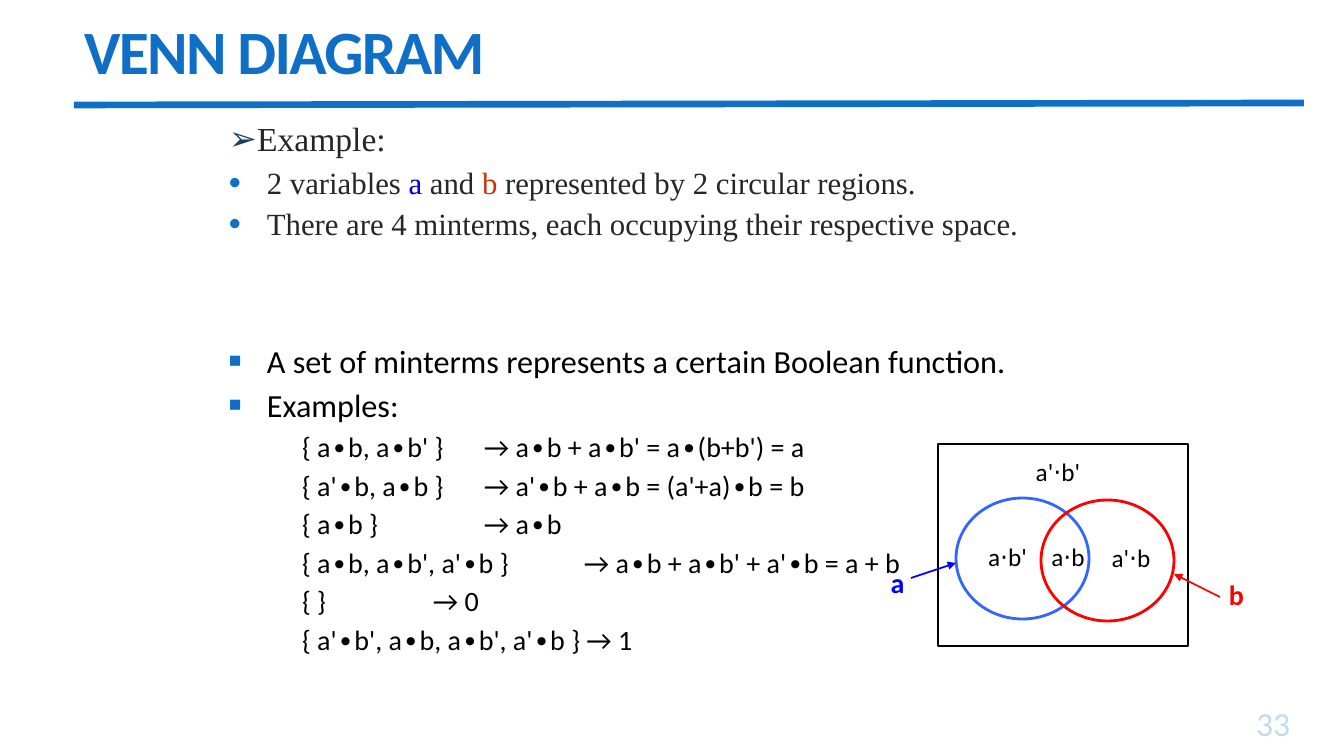
from lxml import etree
from pptx import Presentation
from pptx.dml.color import RGBColor
from pptx.enum.shapes import MSO_CONNECTOR as CONN, MSO_SHAPE as SHAPE
from pptx.enum.text import MSO_ANCHOR as ANCHOR, PP_ALIGN as ALIGN
from pptx.oxml.ns import qn
from pptx.util import Pt

BLUE = RGBColor(0x0F, 0x6F, 0xC6)
PALE_BLUE = RGBColor(0xC3, 0xDB, 0xF1)
NAVY = RGBColor(0x17, 0x40, 0x6D)
INK = RGBColor(0x26, 0x26, 0x26)
BLACK = RGBColor(0, 0, 0)
WORD_A = RGBColor(0, 0, 0xCC)
WORD_B = RGBColor(0xCC, 0x33, 0)
CIRCLE_A = RGBColor(0x33, 0x66, 0xFF)
LABEL_A = RGBColor(0, 0, 0xFF)
RED = RGBColor(0xFF, 0, 0)
SANS, SERIF = "Calibri", "Times New Roman"

# runs (text, colour), size, bullet (character, colour, percent), indent px
INTRO = [
    ([("Example:", INK)], 24, ("➢", NAVY, 100), 28),
    ([("2 variables ", INK), ("a", WORD_A), (" and ", INK), ("b", WORD_B),
      (" represented by 2 circular regions.", INK)], 22, ("•", BLUE, 112), 38),
    ([("There are 4 minterms, each occupying their respective space.", INK)],
     22, ("•", BLUE, 112), 38),
]
FUNCTIONS = [
    ([(text, BLACK)], 23, ("■", BLUE, 65), 38)
    for text in ("A set of minterms represents a certain Boolean function.", "Examples:")
]
# text, tab stop px of the arrow
EXAMPLES = [
    ("{ a∙b, a∙b' }\t→ a∙b + a∙b' = a∙(b+b') = a", 182),
    ("{ a'∙b, a∙b }\t→ a'∙b + a∙b = (a'+a)∙b = b", 182),
    ("{ a∙b }\t→ a∙b", 182),
    ("{ a∙b, a∙b', a'∙b }\t→ a∙b + a∙b' + a'∙b = a + b", 282),
    ("{ }\t→ 0", 131),
    ("{ a'∙b', a∙b, a∙b', a'∙b } → 1", None),
]
# shape, left, top, width, height, colour, line pt
REGIONS = [
    (SHAPE.RECTANGLE, 938, 444, 250, 202, BLACK, 1.75),
    (SHAPE.OVAL, 956, 498, 133, 121, CIRCLE_A, 2),
    (SHAPE.OVAL, 1041, 500, 133, 121, RED, 2),
]
# text, left, top, width, height, colour, size, bold
LABELS = [
    ("a⋅b'", 972, 536, 71, 50, BLACK, 18, False),
    ("a'⋅b", 1093, 537, 76, 50, BLACK, 18, False),
    ("a'⋅b'", 1009, 451, 98, 50, BLACK, 18, False),
    ("a⋅b", 1040, 536, 56, 50, BLACK, 18, False),
    ("a", 875, 561, 45, 48, LABEL_A, 20, True),
    ("b", 1212, 573, 49, 40, RED, 20, True),
]
ARROWS = [((911, 578), (956, 563), LABEL_A), ((1220, 597), (1174, 574), RED)]

EMU_PER_PX = 914400 / 100.8


def px(n):
    return round(n * EMU_PER_PX)


def add_xml(parent, tag, **attrs):
    return etree.SubElement(parent, qn(tag), {k: str(v) for k, v in attrs.items()})


def set_font(p, name, size, color, bold=False):
    f = p.font
    f.name, f.size, f.bold = name, Pt(size), bold
    f.color.rgb = color


def add_box(*frame):
    tf = slide.shapes.add_textbox(*map(px, frame)).text_frame
    tf.word_wrap = True
    return tf


def paragraphs(tf, items):
    """Yield each item with its own paragraph of the frame."""
    for i, item in enumerate(items):
        yield i, tf.paragraphs[0] if i == 0 else tf.add_paragraph(), item


def add_bullets(tf, items, font, gap, line_spacing):
    for i, p, (runs, size, (char, color, percent), indent) in paragraphs(tf, items):
        pPr = p._p.get_or_add_pPr()
        pPr.set("marL", str(px(indent)))
        pPr.set("indent", str(-px(indent)))
        add_xml(add_xml(pPr, "a:buClr"), "a:srgbClr", val=color)
        add_xml(pPr, "a:buSzPct", val=percent * 1000)
        add_xml(pPr, "a:buFont", typeface="Arial")
        add_xml(pPr, "a:buChar", char=char)
        p.line_spacing = line_spacing
        p.space_before = Pt(gap if i else 0)
        set_font(p, font, size, runs[0][1])
        for text, run_color in runs:
            r = p.add_run()
            r.text = text
            r.font.color.rgb = run_color


def add_line(start, end, color, width):
    line = slide.shapes.add_connector(CONN.STRAIGHT, *map(px, start + end))
    line.line.color.rgb = color
    line.line.width = Pt(width)
    add_xml(line._element.spPr, "a:effectLst")
    return line


prs = Presentation()
prs.slide_width, prs.slide_height = px(1344), px(756)
slide = prs.slides.add_slide(prs.slide_layouts[5])

add_line((74, 105), (1304, 103), BLUE, 4.75)

title = slide.shapes.title
title.left, title.top, title.width, title.height = map(px, (74, 8, 1187, 95))
tf = title.text_frame
tf.text = "VENN DIAGRAM"
tf.vertical_anchor = ANCHOR.MIDDLE
p = tf.paragraphs[0]
p.alignment = ALIGN.LEFT
p.line_spacing = 0.85
set_font(p, SANS, 44, BLUE, True)
p.runs[0].font._element.set("spc", "-120")

tf = add_box(1169, 706, 131, 42)
tf.text = "33"
tf.vertical_anchor = ANCHOR.BOTTOM
tf.paragraphs[0].alignment = ALIGN.RIGHT
set_font(tf.paragraphs[0], SANS, 24, PALE_BLUE)

add_bullets(add_box(219, 118, 915, 130), INTRO, SERIF, 6, 0.9)
add_bullets(add_box(219, 336, 915, 94), FUNCTIONS, SANS, 4, 1)

tf = add_box(302, 430, 630, 240)
tf.margin_left = tf.margin_right = tf.margin_top = tf.margin_bottom = 0
for i, p, (text, stop) in paragraphs(tf, EXAMPLES):
    if stop:
        tabs = add_xml(p._p.get_or_add_pPr(), "a:tabLst")
        add_xml(tabs, "a:tab", pos=px(stop), algn="l")
    p.space_before = Pt(3.5 if i else 0)
    set_font(p, SANS, 20, BLACK)
    p.add_run().text = text

for kind, *frame, color, width in REGIONS:
    sp = slide.shapes.add_shape(kind, *map(px, frame))
    sp.shadow.inherit = False
    sp.fill.background()
    sp.line.color.rgb = color
    sp.line.width = Pt(width)

for text, *frame, color, size, bold in LABELS:
    tf = add_box(*frame)
    tf.text = text
    tf.paragraphs[0].alignment = ALIGN.CENTER
    set_font(tf.paragraphs[0], SANS, size, color, bold)

for start, end, color in ARROWS:
    arrow = add_line(start, end, color, 1.25)
    add_xml(arrow.line._get_or_add_ln(), "a:tailEnd", type="triangle")

prs.save("out.pptx")
